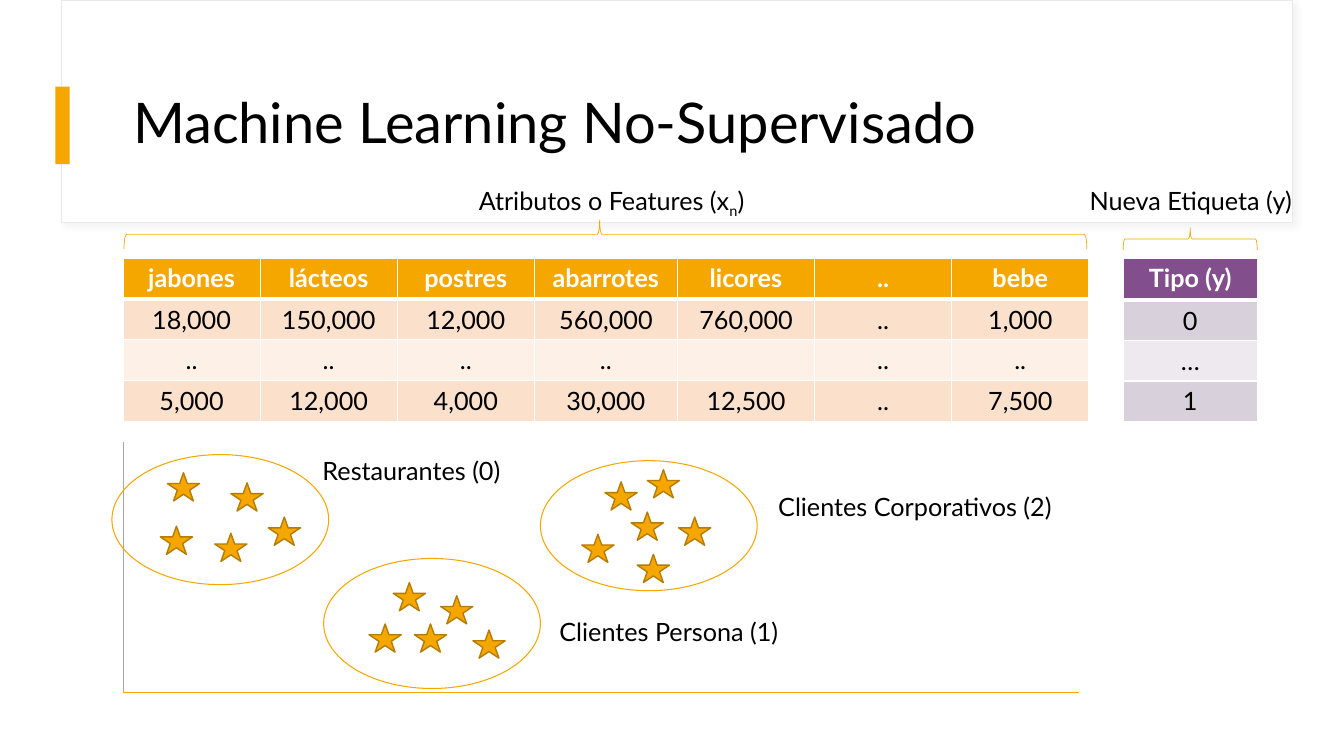
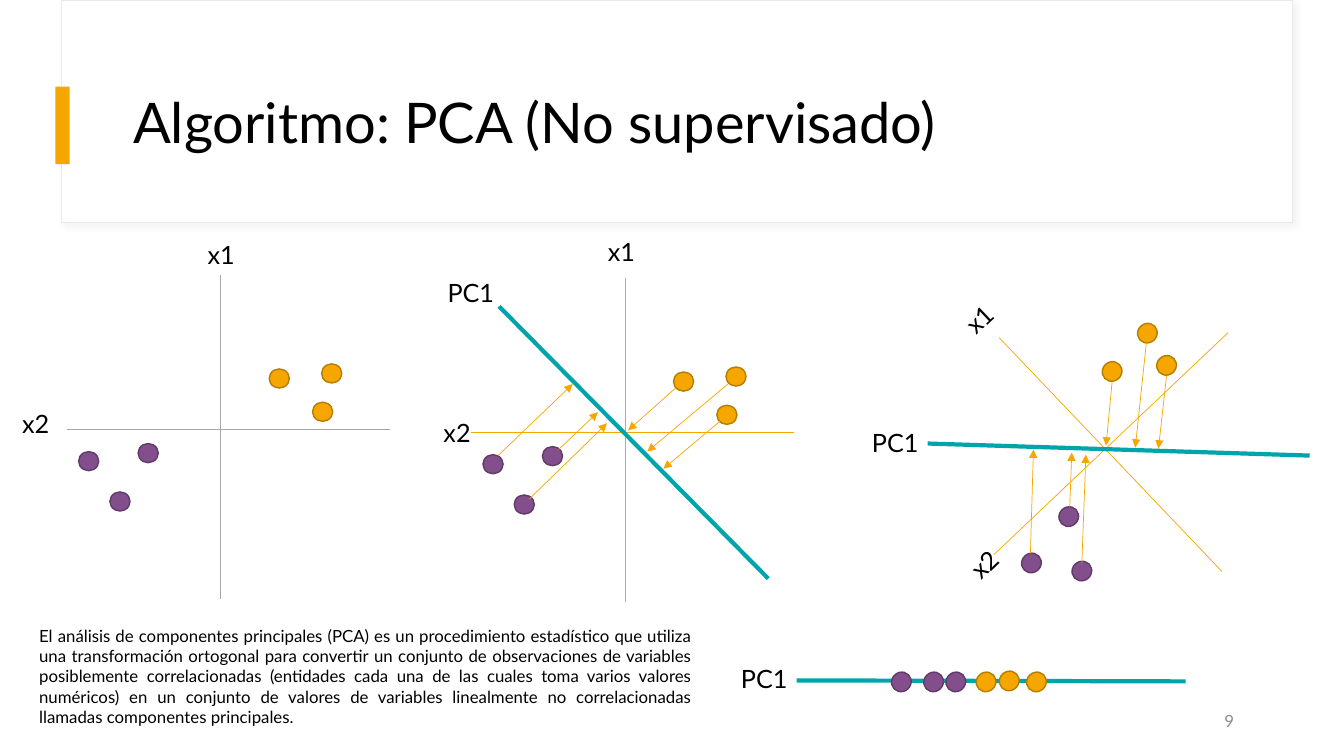
from lxml import etree
from pptx import Presentation
from pptx.dml.color import RGBColor
from pptx.enum.shapes import MSO_CONNECTOR, MSO_SHAPE
from pptx.enum.text import MSO_ANCHOR, MSO_AUTO_SIZE, PP_ALIGN
from pptx.oxml import parse_xml
from pptx.oxml.ns import nsdecls, qn
from pptx.util import Inches, Pt

RECTANGLE, ELLIPSE = MSO_SHAPE.RECTANGLE, MSO_SHAPE.OVAL
STAR, BRACE = MSO_SHAPE.STAR_5_POINT, MSO_SHAPE.RIGHT_BRACE
STRAIGHT = MSO_CONNECTOR.STRAIGHT
MIDDLE = MSO_ANCHOR.MIDDLE
FIT_SHAPE = MSO_AUTO_SIZE.SHAPE_TO_FIT_TEXT
LEFT, CENTER, RIGHT, JUSTIFY = PP_ALIGN.LEFT, PP_ALIGN.CENTER, PP_ALIGN.RIGHT, PP_ALIGN.JUSTIFY

FONT = "Lato"
TITLE_ONLY = 5
TILT = 316.5
COLORS = {
    "white": "FFFFFF", "black": "000000", "frame": "E9E9E9", "shadow": "D9D9D9",
    "number": "8C8C8C", "axis": "A6A6A6", "teal": "00A5AB",
    "orange": "F5A700", "orange edge": "B57C00",
    "orange band": "FBE1CC", "orange pale": "FDF1E7",
    "purple": "824F8C", "purple edge": "603A68",
    "purple band": "D8D0DA", "purple pale": "EDE9EE",
}

FEATURE_ROWS = [
    ["jabones", "lácteos", "postres", "abarrotes", "licores", "..", "bebe"],
    ["18,000", "150,000", "12,000", "560,000", "760,000", "..", "1,000"],
    ["..", "..", "..", "..", "", "..", ".."],
    ["5,000", "12,000", "4,000", "30,000", "12,500", "..", "7,500"],
]
LABEL_ROWS = [["Tipo (y)"], ["0"], ["…"], ["1"]]

# name, left and top of the ellipse, label offset and width, star offsets
CLUSTERS = [
    ("Restaurantes (0)", 1.11, 4.51, (1.99, -0.04, 2.15),
     [(0.55, 0.18), (1.55, 0.62), (0.48, 0.71), (1.02, 0.78), (1.18, 0.28)]),
    ("Clientes Persona (1)", 3.21, 5.54, (2.24, 0.53, 3.06),
     [(0.69, 0.24), (1.16, 0.37), (0.9, 0.65), (1.48, 0.71), (0.45, 0.65)]),
    ("Clientes Corporativos (2)", 5.36, 4.57, (2.26, 0.26, 3.06),
     [(1.06, 0.09), (0.64, 0.21), (0.9, 0.51), (1.37, 0.56), (0.41, 0.73), (0.96, 0.93)]),
]

# dots and projections, measured from the crossing of the axes
SCATTER_DOTS = {
    "orange": [(0.48, -0.6), (0.91, -0.27), (1, -0.65)],
    "purple": [(-0.82, 0.14), (-1.41, 0.22), (-1.1, 0.62)],
}
SCATTER_ARROWS = [
    (-0.66, 0.17, -0.27, -0.2), (-1.26, 0.23, -0.52, -0.48), (-0.95, 0.66, -0.18, -0.09),
    (0.5, -0.44, 0.03, -0.02), (1.02, -0.48, 0.22, 0.19), (0.94, -0.11, 0.38, 0.36),
]
# the same, measured from the corner of the rotated plot
ROTATED_DOTS = {
    "orange": [(2.38, 0.64), (2.92, 0.58), (2.73, 0.26)],
    "purple": [(1.95, 2.08), (1.58, 2.54), (2.08, 2.62)],
}
ROTATED_ARROWS = [
    (2.06, 2.08, 2.08, 1.54), (1.67, 2.54, 1.7, 1.51), (2.18, 2.64, 2.22, 1.56),
    (2.48, 0.84, 2.42, 1.47), (2.82, 0.45, 2.71, 1.49), (3.02, 0.78, 2.94, 1.5),
]
PROJECTED_DOTS = {
    "orange": [(2.43, 0.14), (2.93, 0.14), (2.66, 0.13)],
    "purple": [(1.91, 0.14), (1.59, 0.14), (2.13, 0.14)],
}
PCA_SUMMARY = (
    "El análisis de componentes principales (PCA) es un procedimiento estadístico que "
    "utiliza una transformación ortogonal para convertir un conjunto de observaciones de "
    "variables posiblemente correlacionadas (entidades cada una de las cuales toma varios "
    "valores numéricos) en un conjunto de valores de variables linealmente no "
    "correlacionadas llamadas componentes principales."
)


def color(name):
    return RGBColor.from_string(COLORS[name])


def add_span(para, text, size=18, ink="black", bold=False):
    span = para.add_run()
    span.text = text
    span.font.name, span.font.size, span.font.bold = FONT, Pt(size), bold
    span.font.color.rgb = color(ink)
    return span


class Region:
    """Draws on a shape tree, measuring from its own left and top in inches."""

    def __init__(self, shapes, left=0, top=0):
        self.shapes, self.left, self.top = shapes, left, top

    def place(self, x, y):
        return Inches(self.left + x), Inches(self.top + y)

    def shape(self, kind, x, y, width, height, fill=None, edge=None, weight=1.0, turn=0):
        shape = self.shapes.add_shape(kind, *self.place(x, y), Inches(width), Inches(height))
        shape.shadow.inherit = False
        shape.rotation = turn
        if fill:
            shape.fill.solid()
            shape.fill.fore_color.rgb = color(fill)
        else:
            shape.fill.background()
        if edge:
            shape.line.color.rgb = color(edge)
            shape.line.width = Pt(weight)
        else:
            shape.line.fill.background()
        return shape

    def line(self, x1, y1, x2, y2, ink="orange", weight=0.5, arrow=False):
        line = self.shapes.add_connector(STRAIGHT, *self.place(x1, y1), *self.place(x2, y2))
        line.line.color.rgb = color(ink)
        line.line.width = Pt(weight)
        if arrow:
            etree.SubElement(line.line._get_or_add_ln(), qn("a:tailEnd"), type="triangle")
        etree.SubElement(line.element.spPr, qn("a:effectLst"))

    def text(self, text, x, y, width, height=0.4, size=18, ink="black", align=LEFT, turn=0):
        box = self.shapes.add_textbox(*self.place(x, y), Inches(width), Inches(height))
        box.rotation = turn
        box.text_frame.word_wrap = True
        box.text_frame.auto_size = FIT_SHAPE
        para = box.text_frame.paragraphs[0]
        para.alignment = align
        add_span(para, text, size, ink)
        return box

    def dots(self, groups, turn=0):
        for name, spots in groups.items():
            for x, y in spots:
                self.shape(ELLIPSE, x, y, 0.2, 0.19, name, name + " edge", turn=turn)

    def arrows(self, ends):
        for end in ends:
            self.line(*end, arrow=True)

    def component(self, *ends):
        self.line(*ends, ink="teal", weight=3)


def decorate_layout(deck, layout):
    """Puts the title frame and accent bar behind the layout's placeholders."""
    draft = deck.slides.add_slide(layout)
    region = Region(draft.shapes)
    frame = region.shape(RECTANGLE, 0.61, 0, 12.21, 2.21, "white", "frame", 0.75)
    bar = region.shape(RECTANGLE, 0.55, 0.86, 0.14, 0.77, "orange")
    effects = frame.element.spPr.find(qn("a:effectLst"))
    shadow = etree.SubElement(effects, qn("a:outerShdw"), blurRad=str(Pt(4)), dist=str(Pt(3)),
                              dir="2700000", algn="tl", rotWithShape="0")
    tint = etree.SubElement(shadow, qn("a:srgbClr"), val=COLORS["shadow"])
    etree.SubElement(tint, qn("a:alpha"), val="30000")
    for index, part in enumerate((frame, bar)):
        layout.shapes.element.insert(2 + index, part.element)
    return draft


def set_title(page, text):
    title = page.shapes.title
    title.left, title.top = Inches(1.22), Inches(0.6)
    title.width, title.height = Inches(11.12), Inches(1.29)
    title.text_frame.vertical_anchor = MIDDLE
    para = title.text_frame.paragraphs[0]
    para.alignment, para.line_spacing = LEFT, 0.9
    add_span(para, text, 40)


def set_borders(cell, top, bottom):
    properties = cell._tc.get_or_add_tcPr()
    for index, (side, weight) in enumerate((("L", 1), ("R", 1), ("T", top), ("B", bottom))):
        properties.insert(index, parse_xml(
            f'<a:ln{side} {nsdecls("a")} w="{Pt(weight)}"><a:solidFill>'
            f'<a:srgbClr val="{COLORS["white"]}"/></a:solidFill></a:ln{side}>'))


def add_data_table(page, left, top, widths, heights, rows, theme):
    table = page.shapes.add_table(len(rows), len(widths), Inches(left), Inches(top),
                                  Inches(sum(widths)), Inches(sum(heights))).table
    for column, width in zip(table.columns, widths):
        column.width = Inches(width)
    for index, (row, height, values) in enumerate(zip(table.rows, heights, rows)):
        row.height = Inches(height)
        header = index == 0
        fill = theme if header else theme + (" band" if index % 2 else " pale")
        for cell, value in zip(row.cells, values):
            cell.fill.solid()
            cell.fill.fore_color.rgb = color(fill)
            set_borders(cell, 3 if index == 1 else 1, 3 if header else 1)
            para = cell.text_frame.paragraphs[0]
            para.alignment = CENTER
            para.font.size = Pt(18)
            if value:
                add_span(para, value, ink="white" if header else "black", bold=header)


def add_brace(region, left, top, width, height, peak=0.5):
    """Lays an upward brace over the box by turning a right brace."""
    brace = region.shape(BRACE, left + (width - height) / 2, top - (width - height) / 2,
                         height, width, edge="orange", weight=0.5, turn=270)
    brace.adjustments[0], brace.adjustments[1] = 0.083, peak


def draw_cluster(page, name, left, top, label, stars):
    region = Region(page.shapes, left, top)
    for x, y in stars:
        region.shape(STAR, x, y, 0.32, 0.28, "orange", "orange edge")
    region.shape(ELLIPSE, 0, 0, 2.15, 1.29, edge="orange", weight=0.75)
    region.text(name, *label)


def build_clusters_slide(page):
    set_title(page, "Machine Learning No-Supervisado")
    region = Region(page.shapes)
    add_data_table(page, 1.22, 2.56, [1.36] * 3 + [1.42] + [1.36] * 3, [0.41] + [0.4] * 2 + [0.41],
                   FEATURE_ROWS, "orange")
    add_data_table(page, 11.14, 2.56, [1.33], [0.42] + [0.4] * 3, LABEL_ROWS, "purple")
    region.line(1.22, 4.39, 1.22, 6.87, ink="axis")
    region.line(1.22, 6.87, 10.7, 6.87)
    for cluster in CLUSTERS:
        draw_cluster(page, *cluster)
    features = region.text("Atributos o Features (x", 4.65, 1.79, 3.69)
    para = features.text_frame.paragraphs[0]
    subscript = add_span(para, "n")
    subscript._r.get_or_add_rPr().set("baseline", "-25000")
    add_span(para, ")")
    add_brace(region, 1.23, 2.18, 9.55, 0.29, 0.494)
    add_brace(region, 11.14, 2.26, 1.33, 0.22)
    region.text("Nueva Etiqueta (y)", 10.59, 1.79, 2.44, align=CENTER)


def draw_scatter(page, left, top, ink, x1_label, x2_label):
    """Draws axes that cross at left, top, with their dots and names."""
    region = Region(page.shapes, left, top)
    region.line(0, -1.53, 0, 1.68, ink=ink)
    region.line(1.68, 0, -1.53, 0, ink=ink)
    region.dots(SCATTER_DOTS)
    region.text("x1", *x1_label, 0.52)
    region.text("x2", *x2_label, 0.52)
    return region


def draw_rotated_plot(page, left, top):
    region = Region(page.shapes.add_group_shape().shapes, left, top)
    region.line(1.36, 0.4, 3.57, 2.72)
    region.line(3.63, 0.35, 1.31, 2.55)
    region.dots(ROTATED_DOTS, TILT)
    region.component(4.44, 1.57, 0.65, 1.45)
    region.text("PC1", 0, 1.24, 0.81)
    region.text("x1", 0.92, 0, 0.52, turn=TILT)
    region.text("x2", 0.97, 2.43, 0.52, turn=TILT)
    region.arrows(ROTATED_ARROWS)


def draw_projection(page, left, top):
    region = Region(page.shapes.add_group_shape().shapes, left, top)
    region.component(4.51, 0.23, 0.65, 0.22)
    region.dots(PROJECTED_DOTS, TILT)
    region.text("PC1", 0, 0, 0.81)


def build_pca_slide(page):
    set_title(page, "Algoritmo: PCA (No supervisado)")
    region = Region(page.shapes)
    number = region.text("9", 9.34, 6.95, 3, size=12, ink="number", align=RIGHT)
    number.text_frame.auto_size = MSO_AUTO_SIZE.NONE
    number.text_frame.vertical_anchor = MIDDLE
    draw_scatter(page, 2.19, 4.26, "axis", (-0.23, -1.93), (-2.07, -0.26))
    projected = draw_scatter(page, 6.2, 4.29, "orange", (-0.27, -1.99), (-1.9, -0.2))
    projected.component(1.42, 1.45, -1.25, -1.25)
    projected.text("PC1", -1.86, -1.59, 0.81)
    projected.arrows(SCATTER_ARROWS)
    draw_rotated_plot(page, 8.55, 2.95)
    draw_projection(page, 7.25, 6.53)
    region.text(PCA_SUMMARY, 0.29, 6.16, 6.67, 1.11, size=12, align=JUSTIFY)


def main():
    deck = Presentation()
    deck.slide_width, deck.slide_height = Inches(13.33), Inches(7.5)
    layout = deck.slide_layouts[TITLE_ONLY]
    build_clusters_slide(decorate_layout(deck, layout))
    build_pca_slide(deck.slides.add_slide(layout))
    deck.save("out.pptx")


if __name__ == "__main__":
    main()
